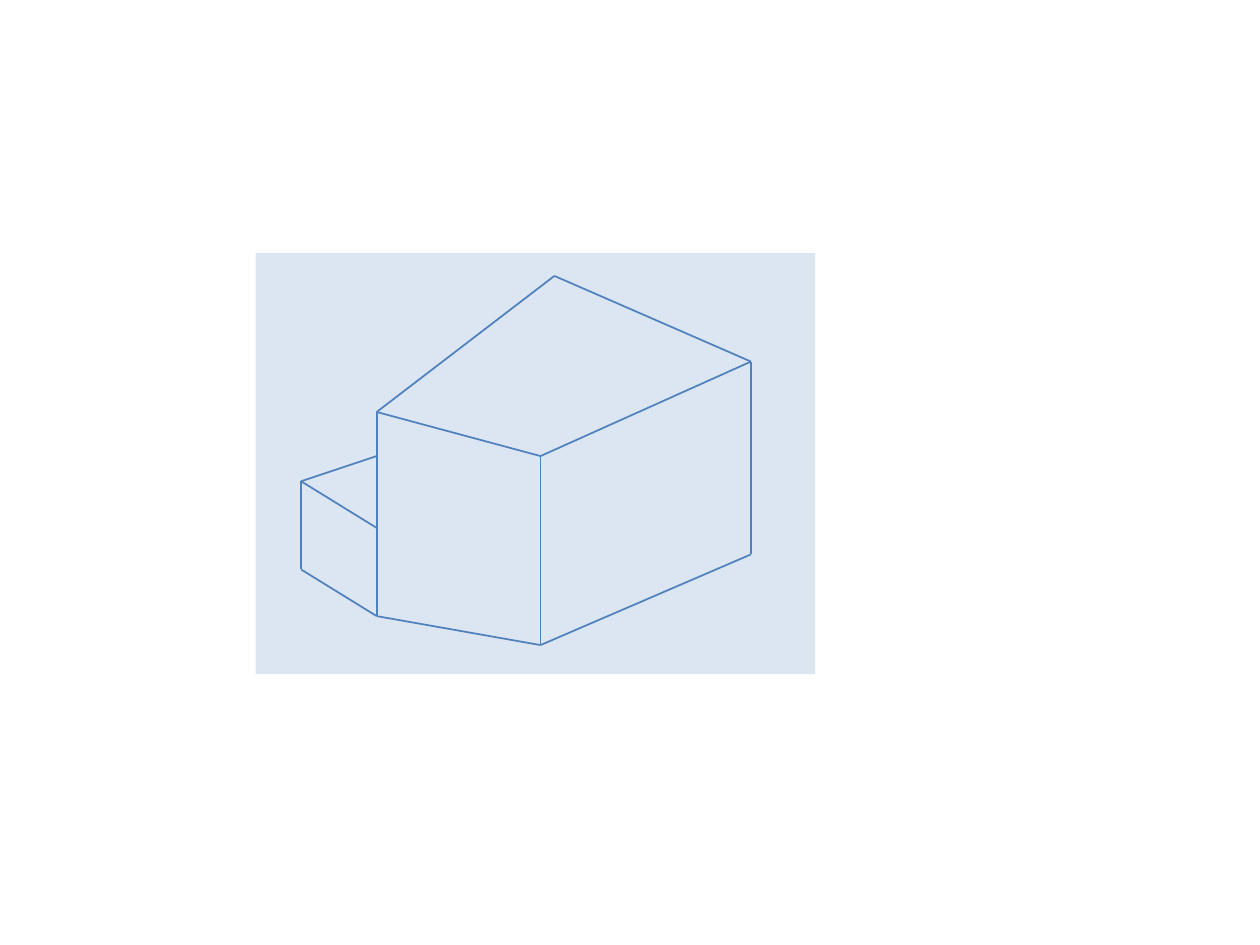
from pptx import Presentation
from pptx.dml.color import RGBColor
from pptx.enum.shapes import MSO_CONNECTOR as Connector, MSO_SHAPE as Shape
from pptx.oxml.ns import qn
from pptx.util import Inches, Pt
from lxml.etree import SubElement

COLORS = {"panel": "DCE6F2", "edge": "4F81BD"}
COLUMNS, ROWS = 1000, 750

# Corners of the two blocks, as (column, row)
CORNERS = {
    "roof left": (299, 327),
    "roof back": (440, 219),
    "roof right": (596, 287),
    "roof front": (429, 362),
    "base left": (299, 489),
    "base right": (596, 440),
    "base front": (429, 512),
    "step top": (239, 382),
    "step base": (239, 452),
    "step front join": (299, 419),
    "step back join": (299, 362),
}

EDGES = [
    ("roof left", "roof back"),
    ("roof right", "roof back"),
    ("roof right", "roof front"),
    ("roof front", "roof left"),
    ("roof right", "base right"),
    ("base front", "base right"),
    ("roof front", "base front"),
    ("roof left", "base left"),
    ("base left", "base front"),
    ("step top", "step front join"),
    ("step top", "step base"),
    ("step base", "base left"),
    ("step top", "step back join"),
]


class Drawing:
    """Draws on one slide; lengths are columns and rows of a fine grid."""

    def __init__(self, deck, edge_width=1):
        self.page = deck.slides.add_slide(deck.slide_layouts[6])
        self.column = deck.slide_width // COLUMNS
        self.row = deck.slide_height // ROWS
        self.edge_width = Pt(edge_width)

    def place(self, column, row):
        return column * self.column, row * self.row

    def panel(self, column, row, columns, rows):
        box = self.page.shapes.add_shape(
            Shape.RECTANGLE, *self.place(column, row), *self.place(columns, rows))
        box.shadow.inherit = False
        box.fill.solid()
        box.fill.fore_color.rgb = RGBColor.from_string(COLORS["panel"])
        box.line.fill.background()

    def edge(self, start, end):
        line = self.page.shapes.add_connector(
            Connector.STRAIGHT, *self.place(*start), *self.place(*end))
        line.line.color.rgb = RGBColor.from_string(COLORS["edge"])
        line.line.width = self.edge_width
        SubElement(line._element.spPr, qn("a:effectLst"))


def main():
    deck = Presentation()
    deck.slide_width, deck.slide_height = Inches(10), Inches(7.5)
    drawing = Drawing(deck)
    drawing.panel(203, 201, 444, 334)
    for start, end in EDGES:
        drawing.edge(CORNERS[start], CORNERS[end])
    deck.save("out.pptx")


if __name__ == "__main__":
    main()
